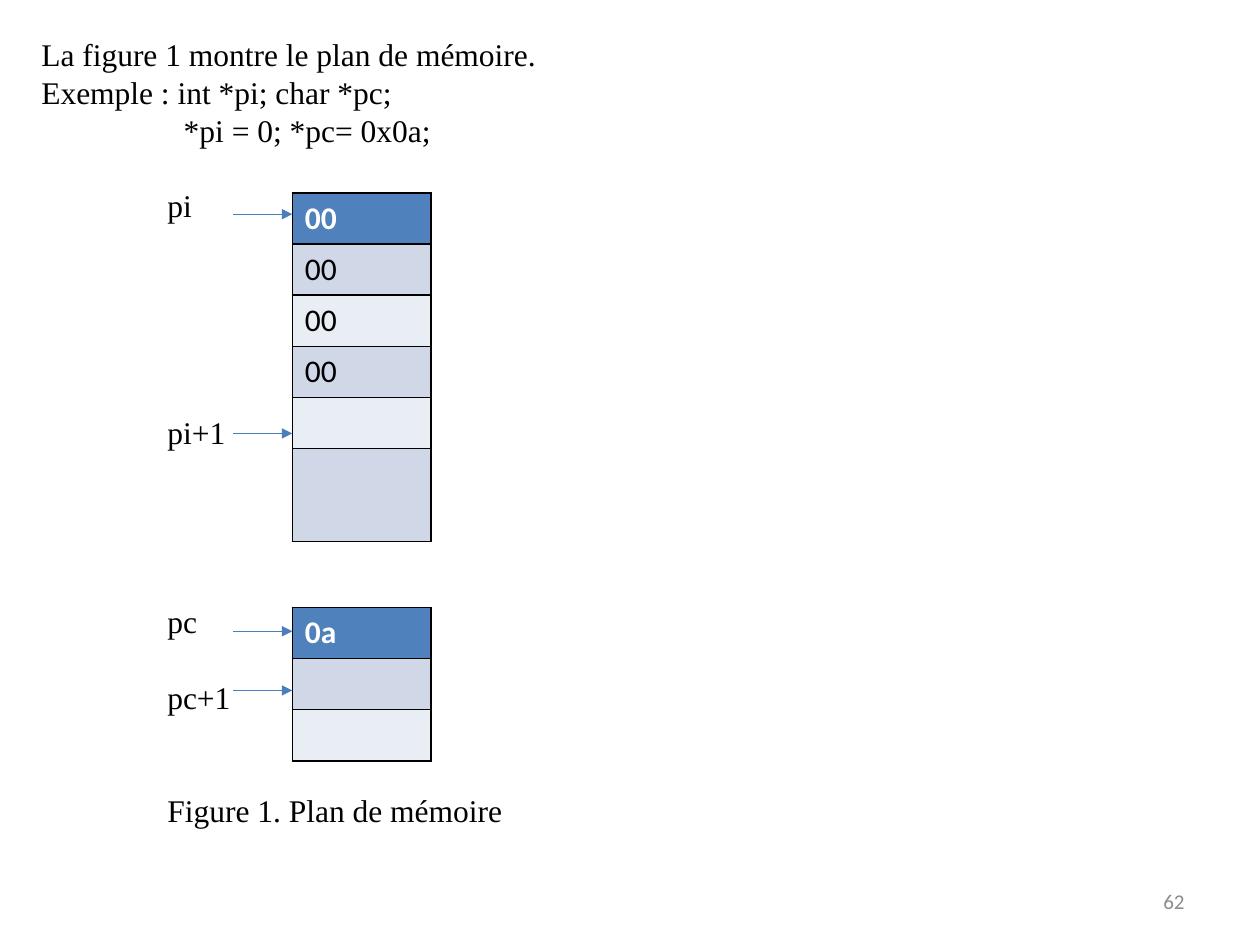
from lxml.etree import SubElement
from pptx import Presentation
from pptx.dml.color import RGBColor
from pptx.enum.shapes import MSO_CONNECTOR
from pptx.enum.text import MSO_ANCHOR, PP_ALIGN
from pptx.oxml.ns import qn
from pptx.util import Inches, Pt

BLACK = RGBColor(0x00, 0x00, 0x00)
WHITE = RGBColor(0xFF, 0xFF, 0xFF)
GREY = RGBColor(0x8C, 0x8C, 0x8C)
HEADER_BLUE = RGBColor(0x4F, 0x81, 0xBD)
BANDS = (RGBColor(0xE9, 0xED, 0xF4), RGBColor(0xD0, 0xD8, 0xE8))
ARROW_BLUE = RGBColor(0x4B, 0x7E, 0xBC)

LINE_PITCH = 21.6  # points
ROW_HEIGHT = Inches(1.22) // 3

# text, indent in inches, lines left free above
EXPLANATION = [
    ("La figure 1 montre le plan de mémoire.", 0, 0),
    ("Exemple : int *pi; char *pc;", 0, 0),
    ("*pi = 0; *pc= 0x0a;", 1.13, 0),
    ("pi", 1, 1),
    ("pi+1", 1, 5),
    ("pc", 1, 4),
    ("pc+1", 1, 1),
    ("Figure 1. Plan de mémoire", 1, 2),
]


def add_run(paragraph, text, font_name, size, color, bold=False):
    run = paragraph.add_run()
    run.text = text
    run.font.name = font_name
    run.font.size = Pt(size)
    run.font.bold = bold
    run.font.color.rgb = color


def add_explanation(slide, left, top, width, height):
    frame = slide.shapes.add_textbox(left, top, width, height).text_frame
    frame.word_wrap = True
    for i, (text, indent, free_lines) in enumerate(EXPLANATION):
        line = frame.paragraphs[0] if i == 0 else frame.add_paragraph()
        line.line_spacing = Pt(LINE_PITCH)
        line.space_before = Pt(LINE_PITCH * free_lines)
        line._p.get_or_add_pPr().set("marL", str(Inches(indent)))
        add_run(line, text, "Times New Roman", 18, BLACK)


def add_cell_borders(cell):
    properties = cell._tc.get_or_add_tcPr()
    for side in ("a:lnL", "a:lnR", "a:lnT", "a:lnB"):
        border = SubElement(properties, qn(side), w=str(Pt(1)))
        fill = SubElement(border, qn("a:solidFill"))
        SubElement(fill, qn("a:srgbClr"), val=str(BLACK))


def add_memory(slide, left, top, width, height, values):
    """Stack of bytes; the last row takes up the remaining height."""
    count = len(values)
    memory = slide.shapes.add_table(count, 1, left, top, width, height).table
    for i, value in enumerate(values):
        is_last = i == count - 1
        memory.rows[i].height = height - i * ROW_HEIGHT if is_last else ROW_HEIGHT
        cell = memory.cell(i, 0)
        add_cell_borders(cell)
        cell.fill.solid()
        cell.fill.fore_color.rgb = BANDS[i % 2] if i else HEADER_BLUE
        if value:
            add_run(cell.text_frame.paragraphs[0], value, "Calibri", 18,
                    BLACK if i else WHITE, bold=i == 0)


def add_pointer(slide, left, right, y):
    pointer = slide.shapes.add_connector(MSO_CONNECTOR.STRAIGHT, left, y, right, y)
    pointer.line.color.rgb = ARROW_BLUE
    pointer.line.width = Pt(0.75)
    SubElement(pointer.line._get_or_add_ln(), qn("a:tailEnd"), type="triangle")
    SubElement(pointer._element.spPr, qn("a:effectLst"))


def add_page_number(slide, left, top, width, height):
    frame = slide.shapes.add_textbox(left, top, width, height).text_frame
    frame.word_wrap = True
    frame.vertical_anchor = MSO_ANCHOR.MIDDLE
    frame.paragraphs[0].alignment = PP_ALIGN.RIGHT
    add_run(frame.paragraphs[0], "62", "Calibri", 12, GREY)


def main():
    prs = Presentation()
    prs.slide_width, prs.slide_height = Inches(10), Inches(7.5)
    slide = prs.slides.add_slide(prs.slide_layouts[6])

    add_page_number(slide, Inches(7.17), Inches(6.95), Inches(2.33), Inches(0.4))
    add_explanation(slide, Inches(0.23), Inches(0.23), Inches(9.53), Inches(7.07))

    # Memory of the int pointer, then of the char pointer
    memory_left, memory_width = Inches(2.32), Inches(1.1)
    add_memory(slide, memory_left, Inches(1.53), memory_width, Inches(2.77),
               ["00", "00", "00", "00", "", ""])
    add_memory(slide, memory_left, Inches(4.82), memory_width, Inches(1.22),
               ["0a", "", ""])

    # Arrows for pi, pi+1, pc and pc+1
    for y in (1.7, 3.44, 5.01, 5.48):
        add_pointer(slide, Inches(1.85), memory_left, Inches(y))

    prs.save("out.pptx")


if __name__ == "__main__":
    main()
